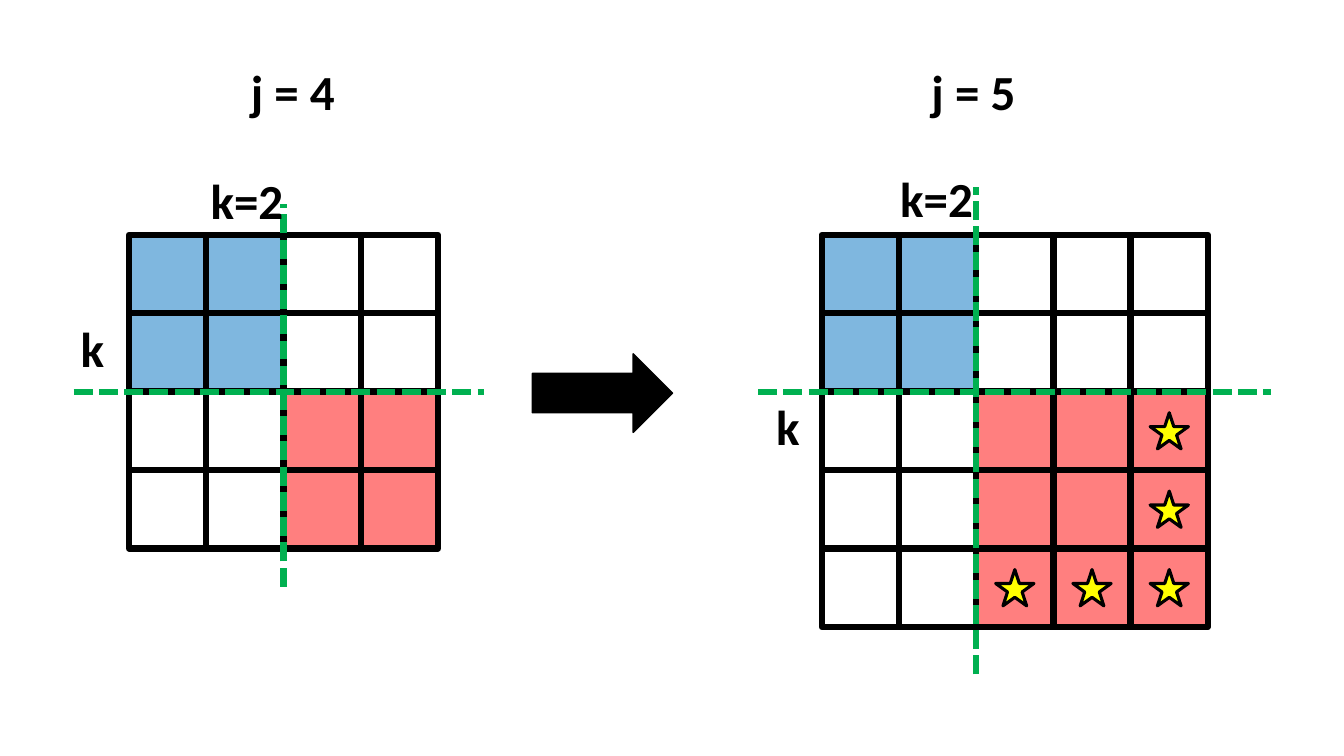
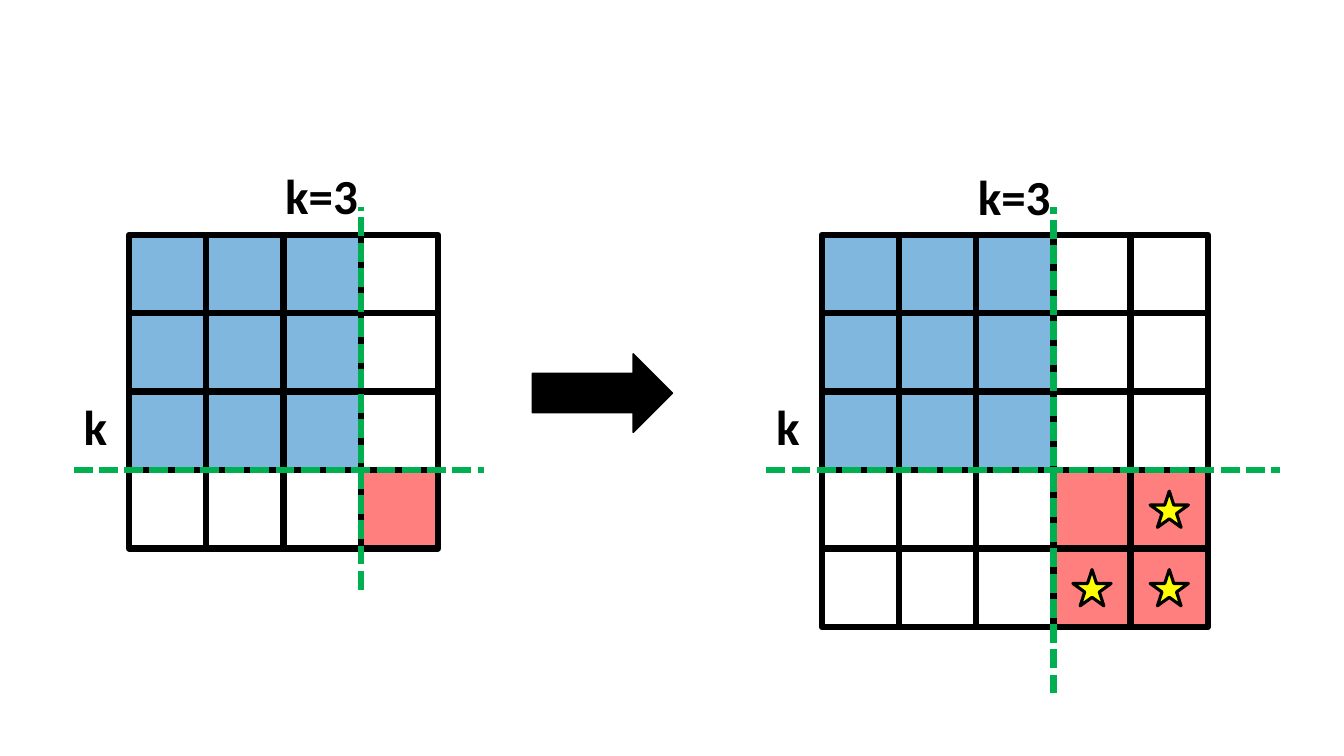
from lxml import etree
from pptx import Presentation, util as u
from pptx.dml.color import RGBColor
from pptx.enum import dml, shapes, text
from pptx.oxml import ns

BLACK = RGBColor(0x00, 0x00, 0x00)
BLUE = RGBColor(0x00, 0x70, 0xC0)
RED = RGBColor(0xFF, 0x00, 0x00)
GREEN = RGBColor(0x00, 0xB0, 0x50)
YELLOW = RGBColor(0xFF, 0xFF, 0x00)
KIND = shapes.MSO_SHAPE

WIDE, HIGH = 13.33, 7.5
CELL_W, CELL_H = 3.83 / 5, 3.89 / 5
TOP = 2.33
STAR_W, STAR_H = 0.38, 0.36
FONT = {"name": "Calibri", "size": u.Pt(35), "bold": True}

deck = Presentation()
deck.slide_width, deck.slide_height = u.Inches(WIDE), u.Inches(HIGH)


def draw(slide, kind, box, fill, weight, alpha=None):
    shape = slide.shapes.add_shape(kind, *map(u.Inches, box))
    shape.shadow.inherit = False
    shape.line.color.rgb = BLACK
    shape.line.width = u.Pt(weight)
    if fill is None:
        shape.fill.background()
        return
    shape.fill.solid()
    shape.fill.fore_color.rgb = fill
    if alpha:
        tint = shape.fill._xPr.find(".//" + ns.qn("a:srgbClr"))
        etree.SubElement(tint, ns.qn("a:alpha"), val=str(alpha * 1000))


def label(slide, words, left, top, width):
    box = slide.shapes.add_textbox(*map(u.Inches, (left, top, width, 0.69)))
    frame = box.text_frame
    frame.word_wrap = True
    frame.auto_size = text.MSO_AUTO_SIZE.SHAPE_TO_FIT_TEXT
    run = frame.paragraphs[0].add_run()
    run.text = words
    for key, value in FONT.items():
        setattr(run.font, key, value)
    run.font.color.rgb = BLACK


pages = [
    {"k": 2, "heads": [("j = 4", 2.39), ("j = 5", 9.14)], "boards": [
        {"n": 4, "left": 1.28, "across": (0.73, 4.8), "down": (5.82, 2.02),
         "side": (0.7, 1), "above": (1.99, 1.64)},
        {"n": 5, "left": 8.15, "across": (7.52, 12.61), "down": (6.69, 1.86),
         "side": (7.6, 2), "above": (8.83, 1.62)}]},
    {"k": 3, "heads": [], "boards": [
        {"n": 4, "left": 1.28, "across": (0.73, 4.8), "down": (5.85, 2.05),
         "side": (0.73, 2), "above": (2.73, 1.59)},
        {"n": 5, "left": 8.15, "across": (7.6, 12.7), "down": (6.88, 2.05),
         "side": (7.6, 2), "above": (9.6, 1.6)}]},
]

for page in pages:
    slide = deck.slides.add_slide(deck.slide_layouts[6])
    k = page["k"]

    for board in page["boards"]:
        n, left = board["n"], board["left"]
        stars = []
        for row in range(n):
            for col in range(n):
                x, y = left + col * CELL_W, TOP + row * CELL_H
                fill = None
                if max(row, col) < k:
                    fill = BLUE
                elif min(row, col) >= k:
                    fill = RED
                    if max(row, col) == 4:
                        stars.append((x + (CELL_W - STAR_W) / 2,
                                      y + (CELL_H - STAR_H) / 2))
                draw(slide, KIND.RECTANGLE, (x, y, CELL_W, CELL_H), fill, 4.5, 50)

        cut_x, cut_y = left + k * CELL_W, TOP + k * CELL_H
        start, end = board["across"]
        low, high = board["down"]
        for ends in [(start, cut_y, end, cut_y), (cut_x, low, cut_x, high)]:
            line = slide.shapes.add_connector(
                shapes.MSO_CONNECTOR.STRAIGHT, *map(u.Inches, ends))
            line.line.color.rgb = GREEN
            line.line.width = u.Pt(4.5)
            line.line.dash_style = dml.MSO_LINE.SQUARE_DOT
            etree.SubElement(line._element.spPr, ns.qn("a:effectLst"))

        side, row = board["side"]
        label(slide, "k", side, TOP + row * CELL_H, 0.39)
        label(slide, f"k={k}", *board["above"], 1.81)
        for x, y in stars:
            draw(slide, KIND.STAR_5_POINT, (x, y, STAR_W, STAR_H), YELLOW, 2.25)

    draw(slide, KIND.RIGHT_ARROW, (5.28, 3.51, 1.39, 0.78), BLACK, 1)
    for words, left in page["heads"]:
        label(slide, words, left, 0.56, 1.43)

deck.save("out.pptx")
